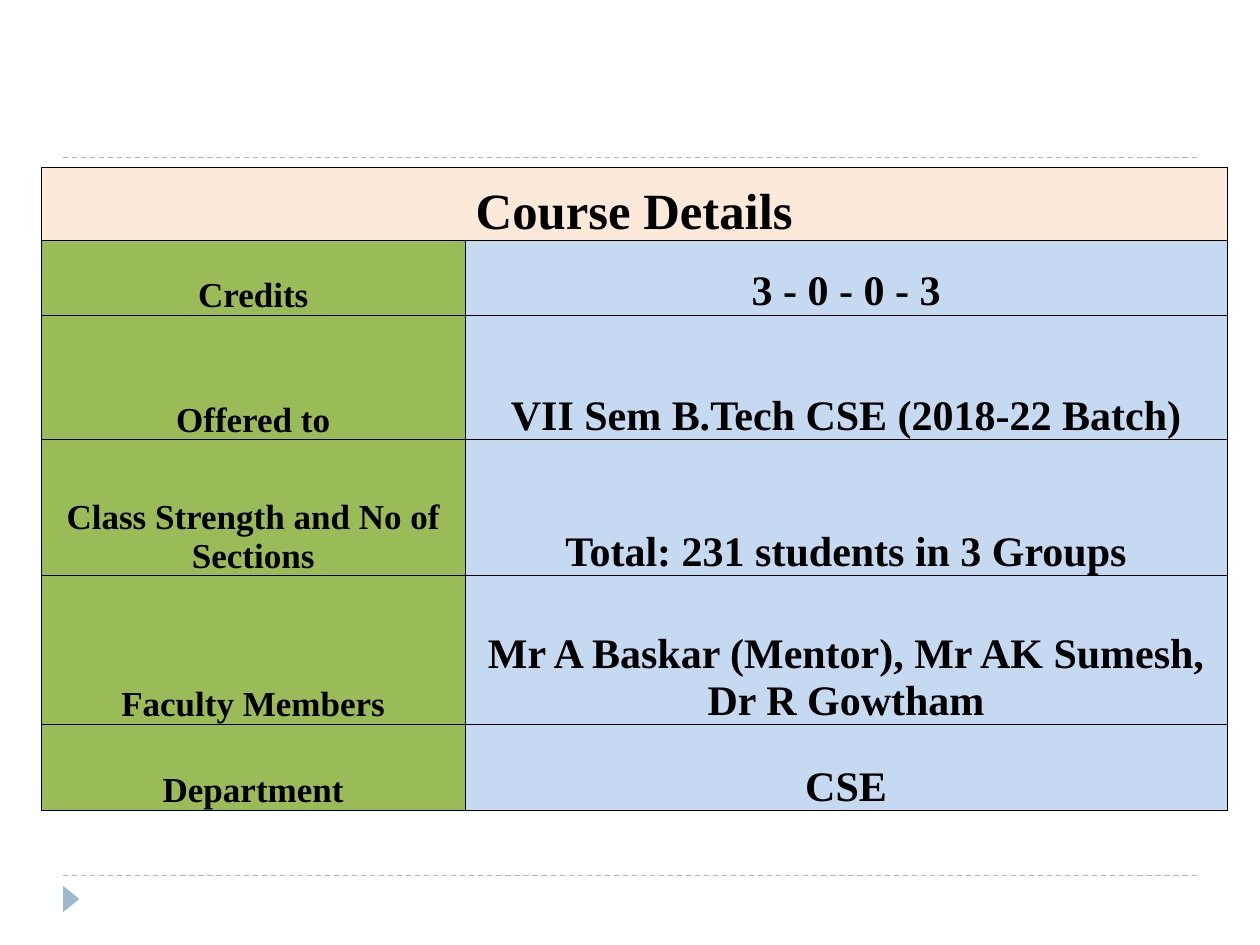
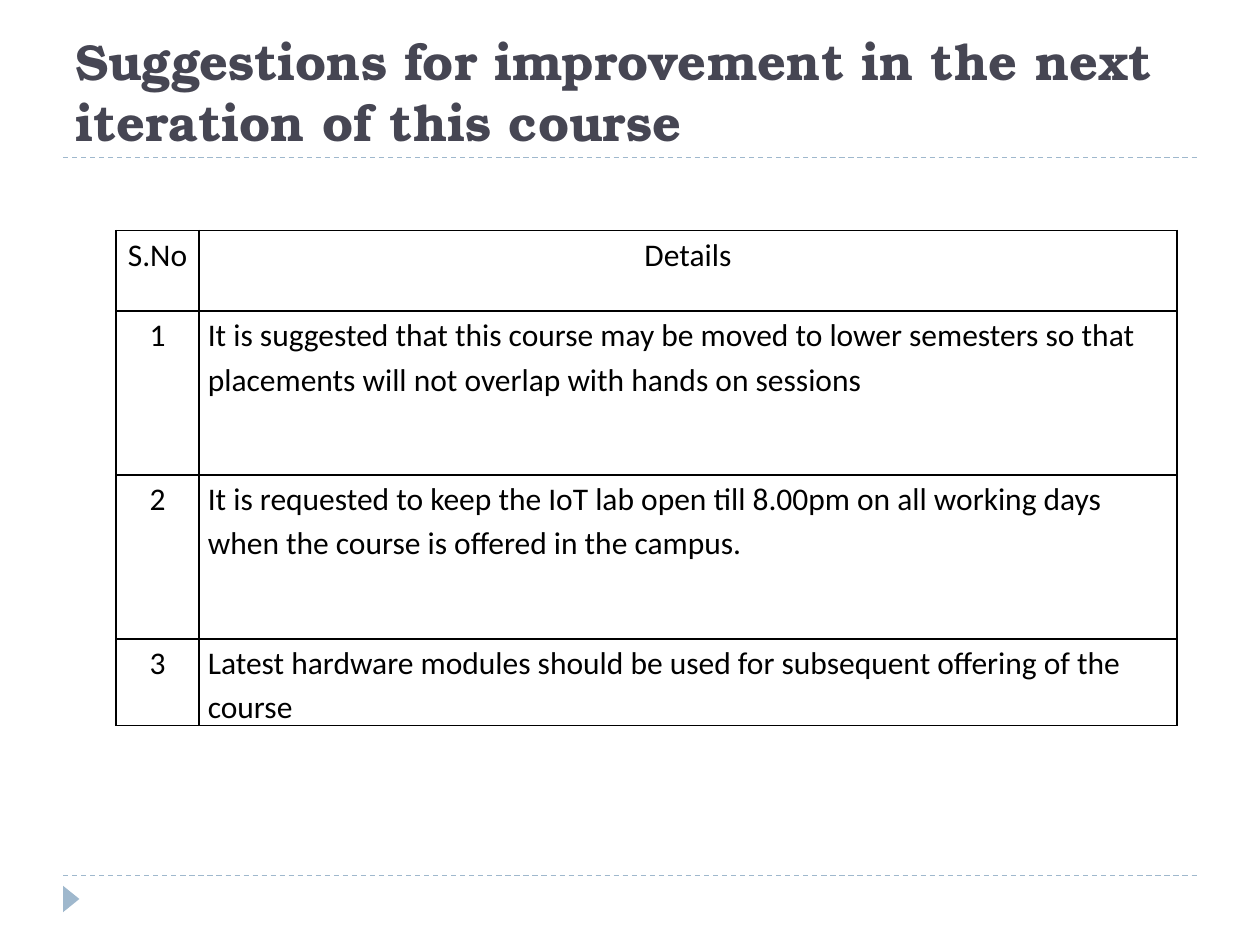
from pptx import Presentation
from pptx.dml.color import RGBColor
from pptx.enum.dml import MSO_LINE
from pptx.enum.shapes import MSO_CONNECTOR, MSO_SHAPE
from pptx.enum.text import MSO_ANCHOR as ANCHOR, PP_ALIGN as ALIGN
from pptx.oxml.ns import qn
from pptx.util import Inches, Pt
from lxml.etree import SubElement

BLACK, SLATE, STEEL = "000000", "464653", "9FB8CD"
PEACH, GREEN, SKY = "FDE9D9", "9BBB59", "C5D9F1"
COLUMNS, ROWS = 100, 75  # grid over the whole slide


def rgb(hex_color):
    return RGBColor.from_string(hex_color)


class Deck:
    """Holds the shared style and the slide being built; lengths are grid columns and rows."""

    def __init__(self):
        self.prs = Presentation()
        self.prs.slide_width, self.prs.slide_height = Inches(10), Inches(7.5)
        self.column = self.prs.slide_width / COLUMNS
        self.row = self.prs.slide_height / ROWS
        self.shapes = None

    def place(self, left, top, width, height):
        return (round(left * self.column), round(top * self.row),
                round(width * self.column), round(height * self.row))

    def new_slide(self):
        self.shapes = self.prs.slides.add_slide(self.prs.slide_layouts[6]).shapes
        for row in (69.5, 12.5):
            self.rule(5, 95, row)
        self.marker(4.6, 70.7, 2.1, 1.3)

    def rule(self, start, end, row):
        left, top, width, _ = self.place(start, row, end - start, 0)
        line = self.shapes.add_connector(MSO_CONNECTOR.STRAIGHT, left, top, left + width, top)
        line.line.color.rgb = rgb(STEEL)
        line.line.width = Pt(0.75)
        line.line.dash_style = MSO_LINE.DASH
        SubElement(line._element.spPr, qn("a:effectLst"))

    def marker(self, *box):
        """Footer triangle that points right."""
        triangle = self.shapes.add_shape(MSO_SHAPE.ISOSCELES_TRIANGLE, *self.place(*box))
        triangle.rotation = 90
        triangle.shadow.inherit = False
        triangle.fill.solid()
        triangle.fill.fore_color.rgb = rgb(STEEL)
        triangle.line.fill.background()

    def set_text(self, paragraph, text, font, size, color=BLACK, bold=False, align=ALIGN.LEFT):
        paragraph.text = text
        paragraph.alignment = align
        style = paragraph.font
        style.name, style.size, style.bold = font, Pt(size), bold
        style.color.rgb = rgb(color)

    def title(self, text):
        frame = self.shapes.add_textbox(*self.place(5, 1.7, 90, 10.8)).text_frame
        frame.word_wrap = True
        frame.vertical_anchor = ANCHOR.BOTTOM
        self.set_text(frame.paragraphs[0], text, "TeX Gyre Bonum", 28.8, SLATE, True)

    def table(self, left, top, widths, heights):
        box = self.place(left, top, sum(widths), sum(heights))
        table = self.shapes.add_table(len(heights), len(widths), *box).table
        table.first_row = table.horz_banding = False
        for column, width in zip(table.columns, widths):
            column.width = round(width * self.column)
        for row, height in zip(table.rows, heights):
            row.height = round(height * self.row)
        return table

    def cell(self, cell, text, border, inset=0, fill=None, anchor=ANCHOR.TOP,
             spacing=1.0, **style):
        self.borders(cell, border)
        if fill:
            cell.fill.solid()
            cell.fill.fore_color.rgb = rgb(fill)
        else:
            cell.fill.background()
        cell.margin_left = cell.margin_right = round(inset * self.column)
        cell.margin_top = cell.margin_bottom = 0
        cell.vertical_anchor = anchor
        paragraph = cell.text_frame.paragraphs[0]
        paragraph.line_spacing = spacing
        self.set_text(paragraph, text, **style)

    def borders(self, cell, points):
        properties = cell._tc.get_or_add_tcPr()
        for side in ("lnL", "lnR", "lnT", "lnB"):
            line = SubElement(properties, qn(f"a:{side}"), w=str(Pt(points)))
            SubElement(SubElement(line, qn("a:solidFill")), qn("a:srgbClr"), val=BLACK)


def course_details(deck):
    details = [
        ("Credits", "3 - 0 - 0 - 3"),
        ("Offered to", "VII Sem B.Tech CSE (2018-22 Batch)"),
        ("Class Strength and No of Sections", "Total: 231 students in 3 Groups"),
        ("Faculty Members", "Mr A Baskar (Mentor), Mr AK Sumesh, Dr R Gowtham"),
        ("Department", "CSE"),
    ]
    look = dict(border=0.5, anchor=ANCHOR.BOTTOM, font="Times New Roman",
                bold=True, align=ALIGN.CENTER)
    deck.new_slide()
    table = deck.table(3.3, 13.3, [33.6, 60.5], [5.8, 5.9, 9.9, 10.8, 11.8, 6.8])
    table.cell(0, 0).merge(table.cell(0, 1))
    for column, heading in enumerate(("Course Details", "")):
        deck.cell(table.cell(0, column), heading, fill=PEACH, size=29, **look)
    for row, (label, value) in enumerate(details, 1):
        deck.cell(table.cell(row, 0), label, fill=GREEN, size=20, **look)
        deck.cell(table.cell(row, 1), value, fill=SKY, size=24, **look)


def suggestions(deck):
    ideas = [
        "It is suggested that this course may be moved to lower semesters so that "
        "placements will not overlap with hands on sessions",
        "It is requested to keep the IoT lab open till 8.00pm on all working days "
        "when the course is offered in the campus.",
        "Latest hardware modules should be used for subsequent offering of the course",
    ]
    look = dict(border=1, inset=0.7, spacing=1.15, font="Calibri", size=18)
    deck.new_slide()
    deck.title("Suggestions for improvement in the next iteration of this course")
    table = deck.table(9.2, 18.3, [6.6, 77.6], [6.4, 13, 13, 6.7])
    lines = [("S.No", "Details")] + [(str(n), idea) for n, idea in enumerate(ideas, 1)]
    for row, (number, detail) in enumerate(lines):
        deck.cell(table.cell(row, 0), number, align=ALIGN.CENTER, **look)
        deck.cell(table.cell(row, 1), detail,
                  align=ALIGN.LEFT if row else ALIGN.CENTER, **look)


def main():
    deck = Deck()
    course_details(deck)
    suggestions(deck)
    deck.prs.save("out.pptx")


if __name__ == "__main__":
    main()
